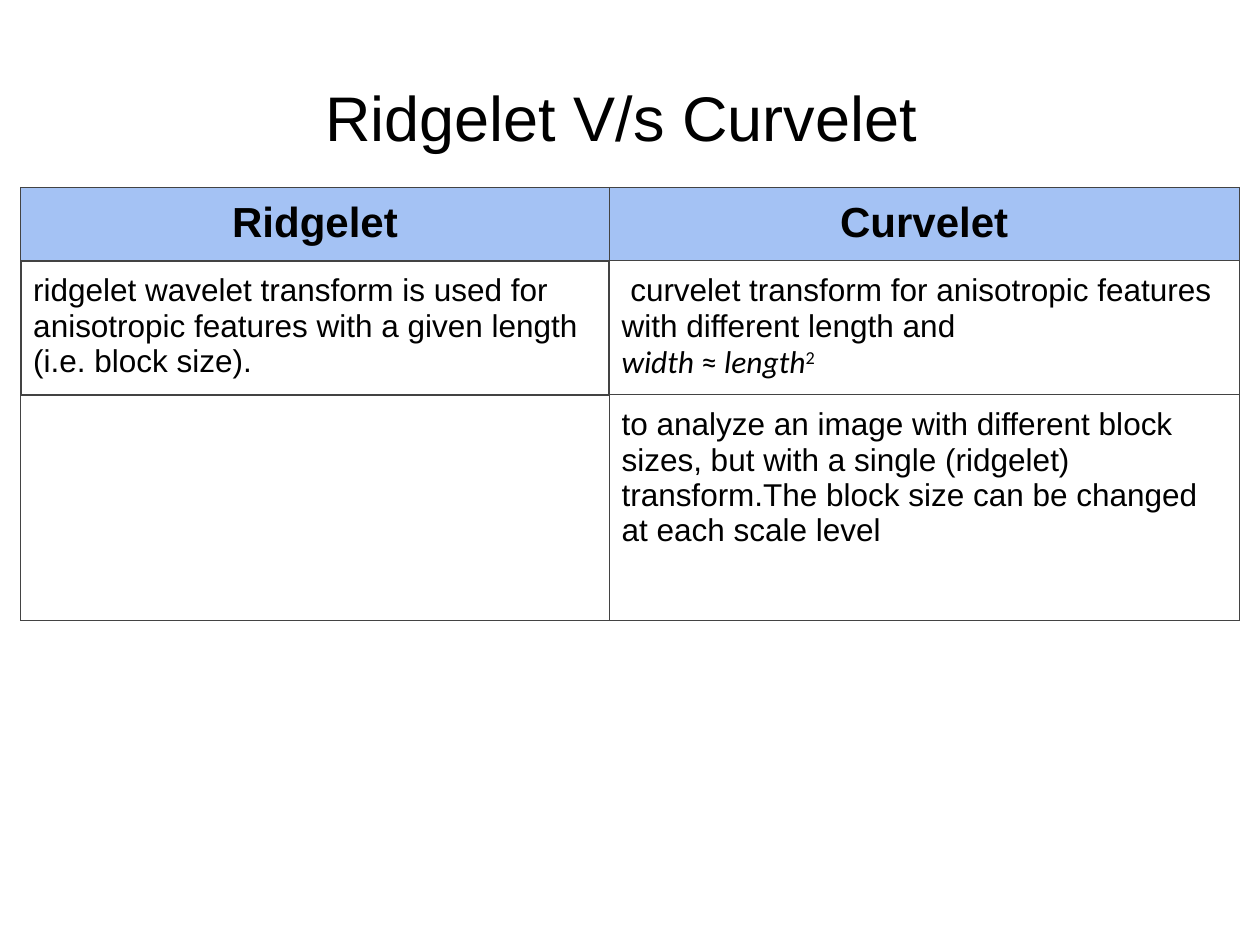
from lxml import etree
from pptx import Presentation
from pptx.dml.color import RGBColor
from pptx.enum.text import MSO_ANCHOR, PP_ALIGN
from pptx.oxml.ns import qn
from pptx.util import Cm, Pt

CENTER, LEFT = PP_ALIGN.CENTER, PP_ALIGN.LEFT
MIDDLE = MSO_ANCHOR.MIDDLE
SIDES = "LRTB"
THIN, THICK = 0.75, 1.5


def color(hex_string):
    return RGBColor.from_string(hex_string)


class Deck:
    font, formula_font = "Arial", "Calibri"
    ink, line, header_fill = "000000", "434343", "A4C2F4"
    margin = Cm(0.25)

    def __init__(self, width, height):
        self.prs = Presentation()
        self.prs.slide_width, self.prs.slide_height = width, height
        self.s = self.prs.slides.add_slide(self.prs.slide_layouts[5])

    def style(self, p, size, bold=False, align=LEFT, font=None):
        p.alignment = align
        p.font.name = font or self.font
        p.font.size = Pt(size)
        p.font.bold = bold
        p.font.color.rgb = color(self.ink)

    def inset(self, box):
        box.margin_left = box.margin_right = self.margin
        box.margin_top = box.margin_bottom = self.margin

    def title(self, text, left, top, width, height):
        sp = self.s.shapes.title
        sp.left, sp.top, sp.width, sp.height = left, top, width, height
        tf = sp.text_frame
        tf.text = text
        tf.vertical_anchor = MIDDLE
        self.inset(tf)
        self.style(tf.paragraphs[0], 36, align=CENTER)

    def table(self, left, top, widths, heights):
        frame = self.s.shapes.add_table(len(heights), len(widths), left, top,
                                        sum(widths), sum(heights))
        table = frame.table
        table.first_row = table.horz_banding = False
        for column, width in zip(table.columns, widths):
            column.width = width
        for row, height in zip(table.rows, heights):
            row.height = height
        return table

    def cell(self, cell, text, header=False, thick=""):
        """Fill one cell; thick lists the sides (L, R, T, B) with a heavy border."""
        self.inset(cell)
        cell.text = text
        for p in cell.text_frame.paragraphs:
            if header:
                self.style(p, 24, bold=True, align=CENTER)
            else:
                self.style(p, 18)
        for side in SIDES:
            self.border(cell, side, THICK if side in thick else THIN)
        if header:
            cell.fill.solid()
            cell.fill.fore_color.rgb = color(self.header_fill)
        else:
            cell.fill.background()

    def border(self, cell, side, points):
        tcPr = cell._tc.get_or_add_tcPr()
        ln = etree.SubElement(tcPr, qn(f"a:ln{side}"), w=str(Pt(points)))
        fill = etree.SubElement(ln, qn("a:solidFill"))
        etree.SubElement(fill, qn("a:srgbClr"), val=self.line)

    def formula(self, cell, parts):
        """Add a paragraph of (text, italic, superscript) parts."""
        p = cell.text_frame.add_paragraph()
        self.style(p, 18, font=self.formula_font)
        for text, italic, superscript in parts:
            r = p.add_run()
            r.text = text
            r.font.italic = italic
            if superscript:
                r.font._element.set("baseline", "30000")


def main():
    deck = Deck(Cm(25.4), Cm(19.05))
    deck.title("Ridgelet V/s Curvelet ", Cm(0), Cm(0.76), Cm(25.4), Cm(3.18))

    rows = [
        ("Ridgelet", "Curvelet"),
        ("ridgelet wavelet transform is used for anisotropic features "
         "with a given length (i.e. block size).",
         " curvelet transform for anisotropic features with different length and"),
        ("",
         "to analyze an image with different block sizes, but with a single "
         "(ridgelet) transform.The block size can be changed at each scale level"),
    ]
    # The first body cell is framed heavily, so its neighbours share those sides.
    thick = {(0, 0): "B", (1, 0): SIDES, (1, 1): "L", (2, 0): "T"}
    table = deck.table(Cm(0.42), Cm(3.78), [Cm(11.86), Cm(12.7)],
                       [Cm(1.48), Cm(2.7), Cm(4.55)])
    for i, row in enumerate(rows):
        for j, text in enumerate(row):
            deck.cell(table.cell(i, j), text, header=i == 0,
                      thick=thick.get((i, j), ""))
    deck.formula(table.cell(1, 1), [("width ", True, False), ("≈ ", False, False),
                                    ("length", True, False), ("2", False, True)])

    deck.prs.save("out.pptx")


if __name__ == "__main__":
    main()
